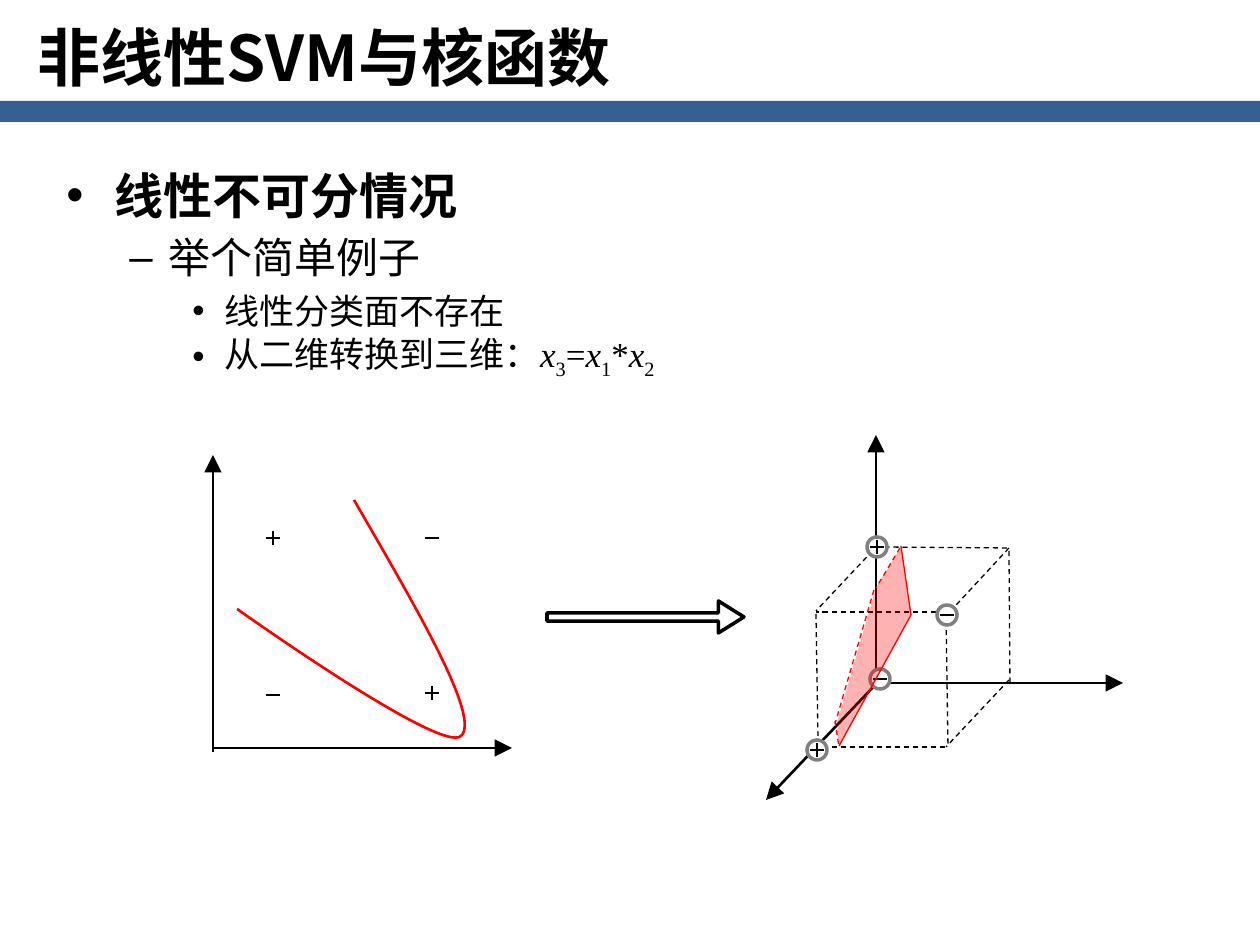
"""Build the slide on non-linear SVM and kernel functions."""
from lxml.etree import SubElement
from pptx import Presentation
from pptx.dml.color import RGBColor
from pptx.enum.dml import MSO_LINE
from pptx.enum.shapes import MSO_CONNECTOR, MSO_SHAPE
from pptx.enum.text import MSO_ANCHOR
from pptx.oxml.ns import qn
from pptx.util import Pt

EMU_PER_PX = 914400 / 126
COLORS = {"bar": "376092", "ink": "000000", "ring": "808080",
          "boundary": "FF0000", "paper": "FFFFFF"}
CJK, SERIF = "Noto Sans CJK SC", "Times New Roman"

TITLE = [dict(runs=[("非线性SVM与核函数", "")], size=36, bold=True)]
OUTLINE = [
    dict(runs=[("线性不可分情况", "")], size=28, bold=True,
         bullet="•", margin=48, hanging=48),
    dict(runs=[("举个简单例子", "")], size=24, level=1,
         bullet="–", margin=102, hanging=39),
    dict(runs=[("线性分类面不存在", "")], size=20, level=2,
         bullet="•", margin=158, hanging=32),
    dict(runs=[("从二维转换到三维：", ""), ("x", "italic"), ("3", "sub"), ("=", "serif"),
               ("x", "italic"), ("1", "sub"), ("*", "serif"),
               ("x", "italic"), ("2", "sub")], size=20, level=2,
         bullet="•", margin=158, hanging=32),
]

AXES = [(213, 752, 213, 455), (213, 748, 512, 748),
        (876, 683, 876, 435), (874, 683, 1123, 683), (877, 683, 766, 800)]
CUBE_EDGES = [(879, 544, 816, 611), (816, 614, 818, 736), (1009, 551, 1010, 685),
              (1007, 548, 877, 547), (945, 747, 816, 747), (1009, 680, 946, 747),
              (945, 612, 816, 612), (946, 612, 948, 747), (1009, 548, 946, 616)]
PLANE = [(901, 547), (911, 614), (839, 746), (837, 723), (876, 588)]
PLANE_FRONT = [(901, 546, 911, 615), (911, 615, 839, 746)]
PLANE_BACK = [(900, 548, 876, 588), (874, 590, 835, 724), (835, 721, 839, 747)]
CURVE = [(354, 500), (417, 609), (481, 718), (461, 736),
         (442, 755), (237, 609), (237, 609)]
FLAT_SAMPLES = [(432, 693, "+"), (273, 538, "+"), (432, 538, "-"), (273, 695, "-")]
CUBE_SAMPLES = [(817, 750, "+"), (877, 547, "+"), (947, 615, "-"), (880, 679, "-")]
SIGN_ARM, RING_RADIUS = 7, 10


def px(value):
    return round(value * EMU_PER_PX)


def rgb(name):
    return RGBColor.from_string(COLORS[name])


def style(shape, fill=None, line=None, width=1.5):
    shape.shadow.inherit = False
    if fill:
        shape.fill.solid()
        shape.fill.fore_color.rgb = rgb(fill)
    else:
        shape.fill.background()
    if line:
        shape.line.color.rgb = rgb(line)
        shape.line.width = Pt(width)
    else:
        shape.line.fill.background()
    return shape


def add_preset(kind, x, y, w, h, **look):
    return style(slide.shapes.add_shape(kind, px(x), px(y), px(w), px(h)), **look)


def add_line(x1, y1, x2, y2, color="ink", width=1.5, dashed=False, arrow=False):
    line = slide.shapes.add_connector(
        MSO_CONNECTOR.STRAIGHT, px(x1), px(y1), px(x2), px(y2))
    line.line.color.rgb = rgb(color)
    line.line.width = Pt(width)
    if dashed:
        line.line.dash_style = MSO_LINE.DASH
    if arrow:
        SubElement(line.line._get_or_add_ln(), qn("a:tailEnd"),
                   type="triangle", w="lg", len="lg")
    SubElement(line._element.spPr, qn("a:effectLst"))


def add_outline(points, close, **look):
    (x, y), *rest = [(px(x), px(y)) for x, y in points]
    builder = slide.shapes.build_freeform(x, y)
    builder.add_line_segments(rest, close=close)
    return style(builder.convert_to_shape(), **look)


def add_text(x, y, w, h, paragraphs):
    frame = slide.shapes.add_textbox(px(x), px(y), px(w), px(h)).text_frame
    frame.word_wrap = True
    frame.vertical_anchor = MSO_ANCHOR.TOP
    for index, item in enumerate(paragraphs):
        paragraph = frame.add_paragraph() if index else frame.paragraphs[0]
        paragraph.level = item.get("level", 0)
        paragraph.line_spacing = Pt(round(item["size"] * 1.3))
        paragraph.space_before = Pt(2 if index else 0)
        if "bullet" in item:
            props = paragraph._p.get_or_add_pPr()
            props.set("marL", str(px(item["margin"])))
            props.set("indent", str(-px(item["hanging"])))
            SubElement(props, qn("a:buFont"), typeface="Arial")
            SubElement(props, qn("a:buChar"), char=item["bullet"])
        for words, role in item["runs"]:
            run = paragraph.add_run()
            run.text = words
            run.font.size = Pt(item["size"])
            run.font.bold = item.get("bold", False)
            run.font.italic = role == "italic"
            run.font.color.rgb = rgb("ink")
            run.font.name = SERIF if role else CJK
            run_props = run._r.get_or_add_rPr()
            SubElement(run_props, qn("a:ea"), typeface=CJK)
            if role == "sub":
                run_props.set("baseline", "-25000")


def add_sign(x, y, sign):
    add_line(x - SIGN_ARM, y, x + SIGN_ARM, y)
    if sign == "+":
        add_line(x, y - SIGN_ARM, x, y + SIGN_ARM)


def add_curve(points):
    curve = add_outline(points, close=False, line="boundary")
    segments = list(curve._element.iter(qn("a:lnTo")))
    for start in range(0, len(segments), 3):
        bezier = SubElement(segments[start].getparent(), qn("a:cubicBezTo"))
        for segment in segments[start:start + 3]:
            bezier.append(segment[0])
            segment.getparent().remove(segment)


prs = Presentation()
prs.slide_width, prs.slide_height = px(1260), px(945)
slide = prs.slides.add_slide(prs.slide_layouts[6])

add_preset(MSO_SHAPE.RECTANGLE, 0, 101, 1260, 21, fill="bar")
add_text(25, 6, 1071, 69, TITLE)
add_text(54, 155, 1150, 724, OUTLINE)

for axis in AXES:
    add_line(*axis, arrow=True)
for sample in FLAT_SAMPLES:
    add_sign(*sample)
add_curve(CURVE)

for edge in CUBE_EDGES:
    add_line(*edge, width=0.75, dashed=True)
for x, y, sign in CUBE_SAMPLES:
    add_preset(MSO_SHAPE.OVAL, x - RING_RADIUS, y - RING_RADIUS, 2 * RING_RADIUS,
               2 * RING_RADIUS, fill="paper", line="ring", width=2)
    add_sign(x, y, sign)

for edges, dashed in ((PLANE_FRONT, False), (PLANE_BACK, True)):
    for edge in edges:
        add_line(*edge, color="boundary", width=0.75, dashed=dashed)
plane = add_outline(PLANE, close=True, fill="boundary")
plane_color = plane._element.spPr.find(qn("a:solidFill"))[0]
SubElement(plane_color, qn("a:alpha"), val="30000")

mapping = add_preset(MSO_SHAPE.RIGHT_ARROW, 547, 601, 197, 32, line="ink", width=2)
mapping.adjustments[0], mapping.adjustments[1] = 0.26, 0.8

prs.save("out.pptx")
